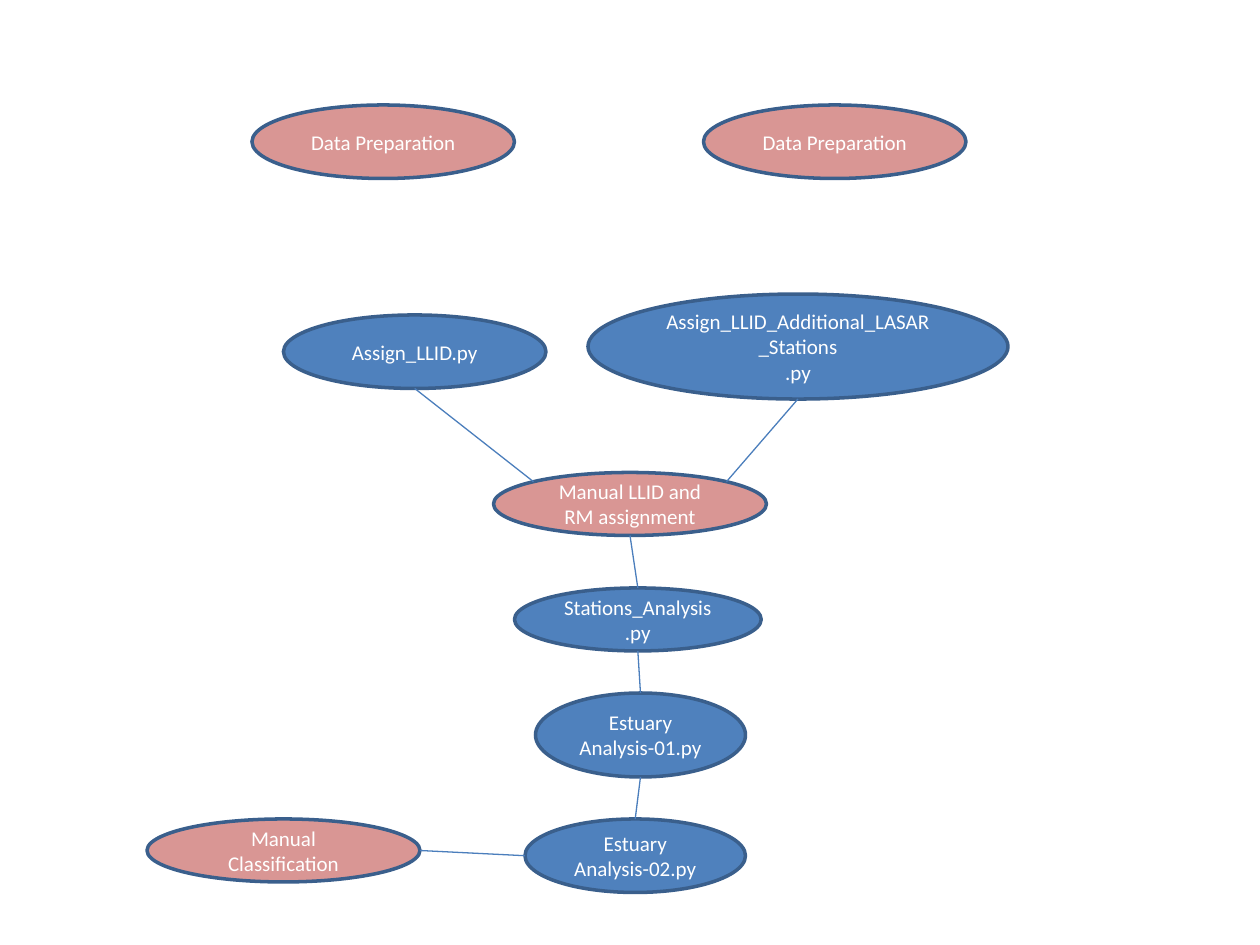
"""Build a flowchart slide of station analysis scripts and manual steps."""
from dataclasses import dataclass
from math import cos, pi, sin

from lxml import etree
from pptx import Presentation
from pptx.dml.color import RGBColor
from pptx.enum.shapes import MSO_CONNECTOR, MSO_SHAPE
from pptx.enum.text import MSO_ANCHOR, PP_ALIGN
from pptx.oxml.ns import qn
from pptx.util import Inches, Pt

OVAL = MSO_SHAPE.OVAL
STRAIGHT = MSO_CONNECTOR.STRAIGHT
CENTER = PP_ALIGN.CENTER
MIDDLE = MSO_ANCHOR.MIDDLE

COLORS = {
    "script": "4F81BD",
    "manual": "D99694",
    "outline": "3A5F8C",
    "link": "4B7EBC",
    "text": "FFFFFF",
}
FONT_FORMAT = {
    "name": "Calibri",
    "size": Pt(12),
}
SLIDE_WIDTH, SLIDE_HEIGHT = Inches(10), Inches(7.5)
COLUMNS = 120
CELL = SLIDE_WIDTH / COLUMNS
TOP, TOP_LEFT, LEFT, BOTTOM, RIGHT, TOP_RIGHT = 0, 1, 2, 4, 6, 7


@dataclass(frozen=True)
class Step:
    key: str
    text: str
    role: str
    column: float
    row: float
    columns: float
    rows: float


@dataclass(frozen=True)
class Link:
    source: str
    source_site: int
    target: str
    target_site: int


STEPS = [
    Step("llid", "Assign_LLID.py", "script", 27, 30, 25, 7),
    Step("lasar", "Assign_LLID_Additional_LASAR_Stations\n.py", "script", 56, 28, 40, 10),
    Step("stations", "Stations_Analysis.py", "script", 49, 56, 23.5, 6),
    Step("assignment", "Manual LLID and RM assignment", "manual", 47, 45, 26, 6),
    Step("estuary_1", "Estuary Analysis-01.py", "script", 51, 66, 20, 8),
    Step("estuary_2", "Estuary Analysis-02.py", "script", 50, 78, 21, 7),
    Step("classification", "Manual Classification", "manual", 14, 78, 26, 6),
    Step("preparation_1", "Data Preparation", "manual", 24, 10, 25, 7),
    Step("preparation_2", "Data Preparation", "manual", 67, 10, 25, 7),
]
LINKS = [
    Link("llid", BOTTOM, "assignment", TOP_LEFT),
    Link("lasar", BOTTOM, "assignment", TOP_RIGHT),
    Link("assignment", BOTTOM, "stations", TOP),
    Link("stations", BOTTOM, "estuary_1", TOP),
    Link("estuary_1", BOTTOM, "estuary_2", TOP),
    Link("classification", RIGHT, "estuary_2", LEFT),
]


def color(name: str) -> RGBColor:
    return RGBColor.from_string(COLORS[name])


def draw_step(slide, step: Step):
    bounds = (step.column, step.row, step.columns, step.rows)
    oval = slide.shapes.add_shape(OVAL, *(round(cells * CELL) for cells in bounds))
    oval.shadow.inherit = False
    oval.fill.solid()
    oval.fill.fore_color.rgb = color(step.role)
    oval.line.color.rgb = color("outline")
    oval.line.width = Pt(2)
    frame = oval.text_frame
    frame.text = step.text
    frame.word_wrap = True
    frame.vertical_anchor = MIDDLE
    for paragraph in frame.paragraphs:
        paragraph.alignment = CENTER
        for run in paragraph.runs:
            for attribute, value in FONT_FORMAT.items():
                setattr(run.font, attribute, value)
            run.font.color.rgb = color("text")
    return oval


def site_point(oval, site: int) -> tuple[int, int]:
    angle = site * pi / 4
    return (
        round(oval.left + oval.width * (1 - sin(angle)) / 2),
        round(oval.top + oval.height * (1 - cos(angle)) / 2),
    )


def draw_link(slide, ovals: dict, link: Link) -> None:
    ends = [
        ("a:stCxn", ovals[link.source], link.source_site),
        ("a:endCxn", ovals[link.target], link.target_site),
    ]
    start, finish = (site_point(oval, site) for _, oval, site in ends)
    connector = slide.shapes.add_connector(STRAIGHT, *start, *finish)
    connector.line.color.rgb = color("link")
    connector.line.width = Pt(0.75)
    properties = connector.element.find(".//" + qn("p:cNvCxnSpPr"))
    for tag, oval, site in ends:
        etree.SubElement(properties, qn(tag), id=str(oval.shape_id), idx=str(site))
    etree.SubElement(connector.element.spPr, qn("a:effectLst"))


def main() -> None:
    deck = Presentation()
    deck.slide_width, deck.slide_height = SLIDE_WIDTH, SLIDE_HEIGHT
    slide = deck.slides.add_slide(deck.slide_layouts[6])
    ovals = {step.key: draw_step(slide, step) for step in STEPS}
    for link in LINKS:
        draw_link(slide, ovals, link)
    deck.save("out.pptx")


if __name__ == "__main__":
    main()
